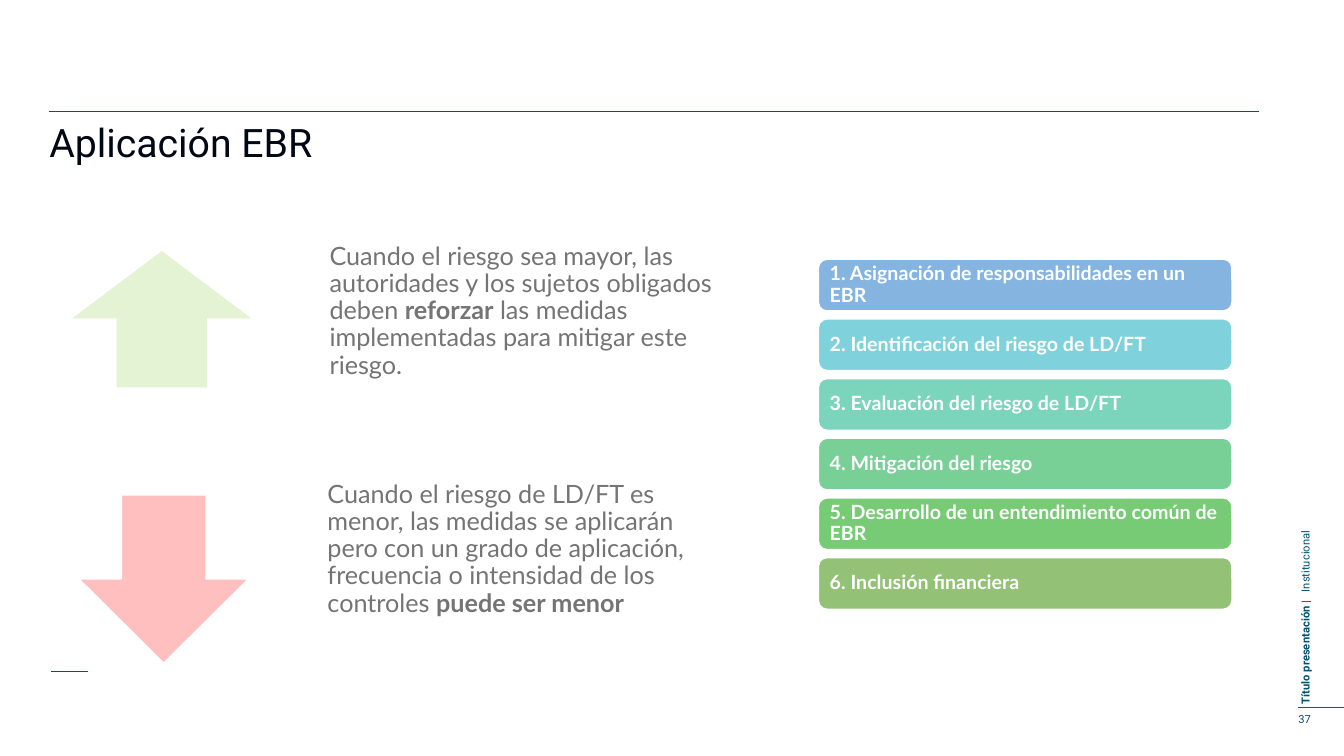
from lxml import etree
from pptx import Presentation
from pptx import util as u
from pptx.dml.color import RGBColor
from pptx.enum import shapes, text
from pptx.oxml.ns import qn

COLORS = {
    "white": "FFFFFF", "ink": "000715", "grey": "747474", "navy": "005370",
    "rule": "005471", "red": "EC0000", "up": "92D050", "down": "FF0000",
}
STEPS = [
    ("1. Asignación de responsabilidades en un EBR", "5B9BD5"),
    ("2. Identificación del riesgo de LD/FT", "55C3CF"),
    ("3. Evaluación del riesgo de LD/FT", "50C8A7"),
    ("4. Mitigación del riesgo", "4BC174"),
    ("5. Desarrollo de un entendimiento común de EBR", "4ABA46"),
    ("6. Inclusión financiera", "70AD47"),
]
STEP_TOP, STEP_PITCH = 185.2, 42.62


def rgb(color):
    return RGBColor.from_string(COLORS.get(color, color))


class Page:
    def __init__(self, deck):
        self.shapes = deck.slides.add_slide(deck.slide_layouts[6]).shapes

    def line(self, x1, x2, y, color):
        rule = self.shapes.add_connector(
            shapes.MSO_CONNECTOR.STRAIGHT, u.Pt(x1), u.Pt(y), u.Pt(x2), u.Pt(y))
        rule.line.color.rgb = rgb(color)
        rule.line.width = u.Pt(0.5)
        etree.SubElement(rule._element.spPr, qn("a:effectLst"))

    def shape(self, kind, area, color, opacity):
        shape = self.shapes.add_shape(kind, *map(u.Pt, area))
        shape.shadow.inherit = False
        shape.fill.solid()
        shape.fill.fore_color.rgb = rgb(color)
        fill_color = shape._element.spPr.find(qn("a:solidFill"))[0]
        etree.SubElement(fill_color, qn("a:alpha"), val=str(opacity * 1000))
        shape.line.color.rgb = rgb("white")
        shape.line.width = u.Pt(1)
        return shape

    def fill_text(self, box, spans, size, color, font="Lato", insets=(0, 0, 0, 0),
                  middle=False, spacing=0.9):
        """Fill a box with one paragraph of (text, bold) spans; return it."""
        frame = box.text_frame
        frame.word_wrap = True
        (frame.margin_left, frame.margin_top,
         frame.margin_right, frame.margin_bottom) = map(u.Pt, insets)
        anchors = text.MSO_ANCHOR
        frame.vertical_anchor = anchors.MIDDLE if middle else anchors.TOP
        para = frame.paragraphs[0]
        para.alignment = text.PP_ALIGN.LEFT
        para.line_spacing = spacing
        para.font.name, para.font.size = font, u.Pt(size)
        para.font.color.rgb = rgb(color)
        for words, bold in spans:
            span = para.add_run()
            span.text = words
            if bold:
                span.font.bold = True
        return para

    def text(self, area, spans, size, color, **style):
        box = self.shapes.add_textbox(*map(u.Pt, area))
        return box, self.fill_text(box, spans, size, color, **style)

    def side_label(self):
        box, para = self.text(
            (927.4, 92.9, 9.4, 410.4),
            [("Título presentación ", True), ("| ", True), ("Institucional", False)],
            8, "navy", font="Roboto", insets=(0, 2, 0, 0), spacing=1.0)
        box.text_frame._txBody.bodyPr.set("vert", "vert270")
        separator = para.runs[1].font
        separator.color.rgb = rgb("red")
        separator._element.set("spc", "200")

    def step(self, number, words, color):
        area = (584.6, STEP_TOP + number * STEP_PITCH, 295.4, 36.9)
        bar = self.shape(shapes.MSO_SHAPE.ROUNDED_RECTANGLE, area, color, 75)
        para = self.fill_text(bar, [(words, False)], 14, "white",
                              insets=(6.3, 0, 6.3, 0), middle=True)
        para.font.bold = True


def main():
    deck = Presentation()
    deck.slide_width, deck.slide_height = u.Pt(960), u.Pt(540)
    page = Page(deck)

    page.side_label()
    page.line(927.4, 960, 505.6, "red")
    page.line(34.9, 899.3, 79.6, "rule")
    page.line(36.3, 62.9, 479.5, "rule")
    page.text((927.4, 509, 28.1, 9.4), [("37", False)], 8, "navy",
              font="Roboto", spacing=1.0)
    page.text((35.3, 88.6, 884.9, 51.8), [("Aplicación EBR", False)], 28, "ink",
              font="Roboto")

    arrows = shapes.MSO_SHAPE
    page.shape(arrows.UP_ARROW, (50, 178.6, 131.2, 98.6), "up", 25)
    page.shape(arrows.DOWN_ARROW, (56.4, 353.5, 121, 120.2), "down", 25)
    body = {"insets": (10, 0, 10, 10), "middle": True}
    page.text((225.4, 140.4, 325.4, 174.2), [
        ("Cuando el riesgo sea mayor, las autoridades y los sujetos obligados deben ", False),
        ("reforzar", True),
        (" las medidas implementadas para mitigar este riesgo.", False),
    ], 18, "grey", **body)
    page.text((223.9, 324, 287.3, 147), [
        ("Cuando el riesgo de LD/FT es menor, las medidas se aplicarán pero con un "
         "grado de aplicación, frecuencia o intensidad de los controles ", False),
        ("puede ser menor", True),
    ], 18, "grey", **body)

    for number, (words, color) in enumerate(STEPS):
        page.step(number, words, color)
    deck.save("out.pptx")


if __name__ == "__main__":
    main()
